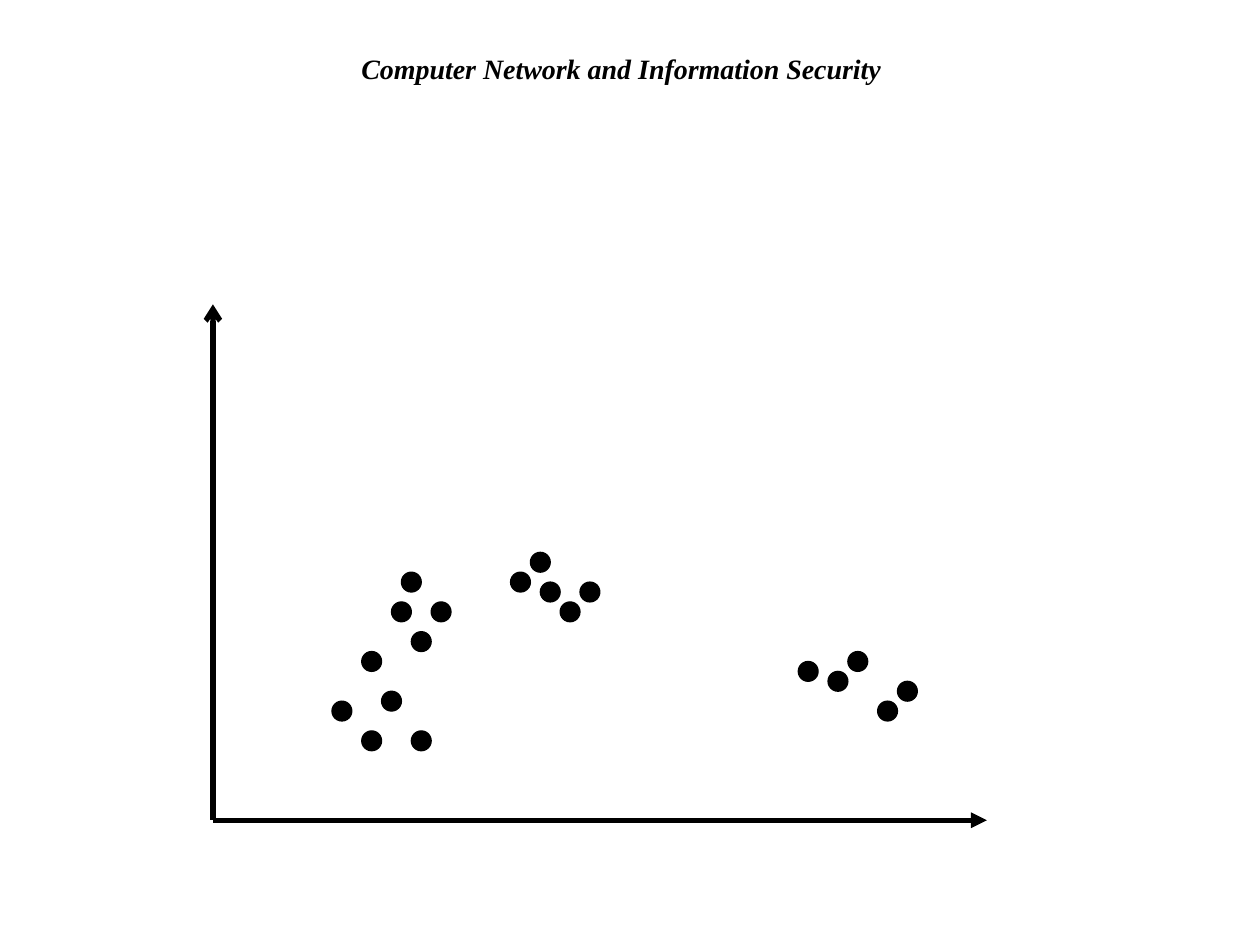
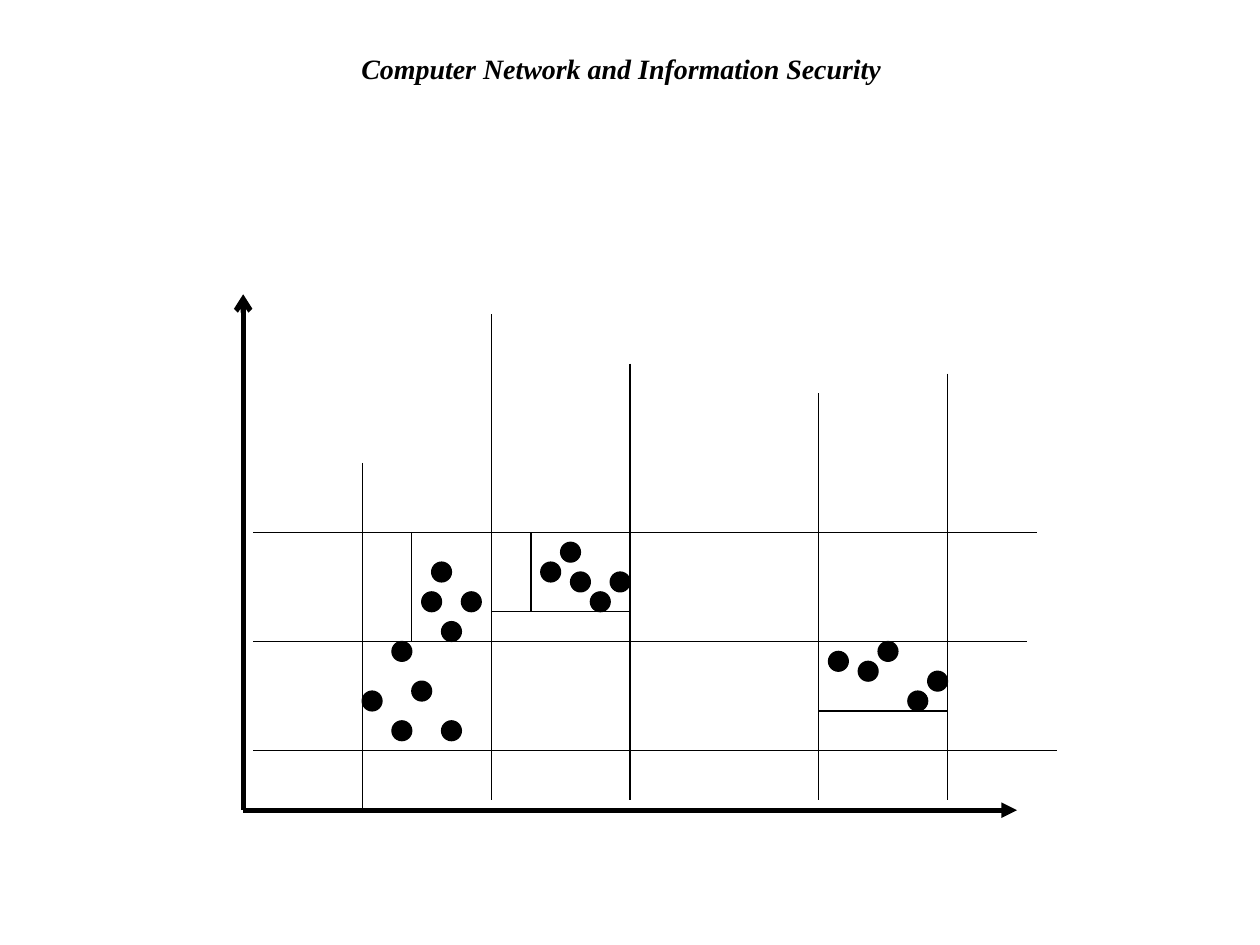
from pptx import Presentation
from pptx.dml.color import RGBColor
from pptx.enum.shapes import MSO_CONNECTOR as LINK, MSO_SHAPE as FORM
from pptx.enum.text import MSO_ANCHOR as ANCHOR, PP_ALIGN as ALIGN
from pptx.util import Inches, Pt
from lxml.etree import SubElement
from pptx.oxml.ns import qn

BLACK = RGBColor(0, 0, 0)
WHITE = RGBColor(255, 255, 255)
STEPS = 12.7  # grid steps to the inch
THIN, THICK = 0.75, 3

TITLE = "Computer Network and Information Security"
TITLE_BOX = (1.61, 0.36, 6.61, 0.37)
TITLE_INDENT = 1.16
TITLE_FONT = {"name": "Times New Roman", "size": Pt(16), "bold": True, "italic": True}

# All plot places are grid steps, right and up from the origin.
AXIS_X, AXIS_Y = 78, 52
DOT = 2
DOTS = [
    (12, 12), (15, 9), (17, 13), (20, 9), (15, 17),
    (35, 22), (37, 24), (33, 24), (30, 25), (32, 27),
    (19, 25), (22, 22), (18, 22), (20, 19),
    (59, 16), (67, 12), (69, 14), (62, 15), (64, 17),
]
ROWS = [(28, 1, 80), (17, 1, 79), (6, 1, 82), (20, 25, 39), (10, 58, 71)]  # y, x from, x to
COLS = [(25, 50, 1), (12, 35, 0), (39, 45, 1), (58, 42, 1), (71, 44, 1),
        (17, 28, 17), (29, 28, 20)]  # x, y from, y to
CUTS = ([((a, y), (b, y)) for y, a, b in ROWS]
        + [((x, a), (x, b)) for x, a, b in COLS])

SLIDES = [
    {"origin": (1.69, 6.51), "cuts": []},
    {"origin": (1.93, 6.43), "cuts": CUTS},
]


def place(origin, spot):
    """Turn a grid spot into slide lengths."""
    return (Inches(origin[0] + spot[0] / STEPS), Inches(origin[1] - spot[1] / STEPS))


def add_title(slide):
    """Add the title band that every slide has."""
    box = slide.shapes.add_textbox(*map(Inches, TITLE_BOX))
    box.fill.solid()
    box.fill.fore_color.rgb = WHITE
    frame = box.text_frame
    frame.word_wrap = True
    frame.vertical_anchor = ANCHOR.TOP
    para = frame.paragraphs[0]
    para.alignment = ALIGN.LEFT
    para._p.get_or_add_pPr().set("marL", str(Inches(TITLE_INDENT)))
    run = para.add_run()
    run.text = TITLE
    for key, value in TITLE_FONT.items():
        setattr(run.font, key, value)
    run.font.color.rgb = BLACK


def add_line(slide, origin, start, end, width=THIN, tip=None):
    """Draw a line between two spots; tip is (end tag, arrow type)."""
    line = slide.shapes.add_connector(
        LINK.STRAIGHT, *place(origin, start), *place(origin, end))
    line.line.color.rgb = BLACK
    line.line.width = Pt(width)
    if tip:
        SubElement(line.line._get_or_add_ln(), qn(tip[0])).set("type", tip[1])
    SubElement(line._element.spPr, qn("a:effectLst"))


def add_dot(slide, origin, spot):
    """Draw one data point with its top left corner at a spot."""
    size = Inches(DOT / STEPS)
    dot = slide.shapes.add_shape(FORM.OVAL, *place(origin, spot), size, size)
    dot.shadow.inherit = False
    dot.fill.solid()
    dot.fill.fore_color.rgb = BLACK
    dot.line.color.rgb = BLACK
    dot.line.width = Pt(THIN)


def add_plot(slide, origin, cuts):
    """Draw the axes, the points and the cutting lines."""
    add_line(slide, origin, (0, 0), (AXIS_X, 0), THICK, ("a:tailEnd", "triangle"))
    add_line(slide, origin, (0, AXIS_Y), (0, 0), THICK, ("a:headEnd", "arrow"))
    for spot in DOTS:
        add_dot(slide, origin, spot)
    for start, end in cuts:
        add_line(slide, origin, start, end)


deck = Presentation()
deck.slide_width, deck.slide_height = Inches(10), Inches(7.5)
for plot in SLIDES:
    page = deck.slides.add_slide(deck.slide_layouts[6])
    add_title(page)
    add_plot(page, **plot)
deck.save("out.pptx")
